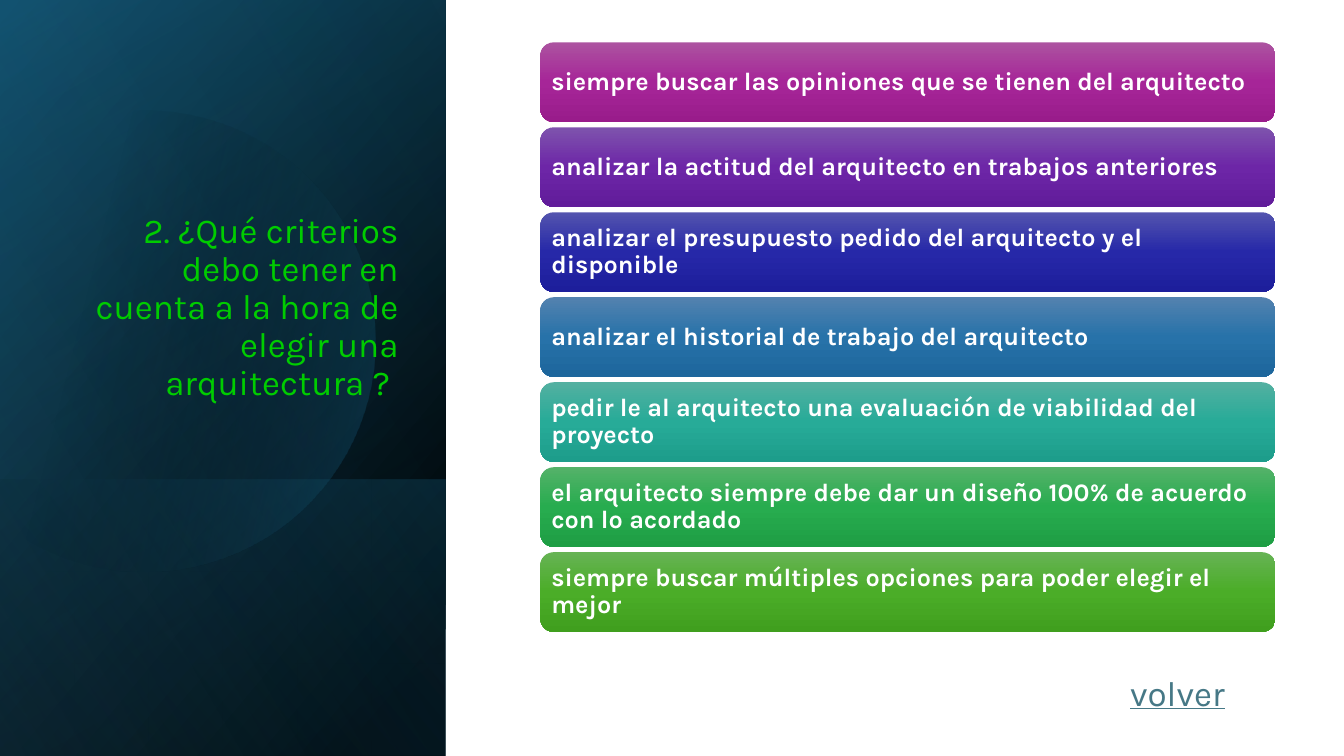
from dataclasses import dataclass
from lxml.etree import SubElement
from pptx import Presentation
from pptx.dml.color import RGBColor
from pptx.enum.shapes import MSO_SHAPE
from pptx.enum.text import MSO_ANCHOR, MSO_AUTO_SIZE, PP_ALIGN
from pptx.oxml.ns import qn
from pptx.util import Inches, Pt

COLORS = {
    "black": "000000", "navy": "104862", "teal": "156082", "sky": "46B1E1",
    "white": "FFFFFF", "lime": "00CC00", "link": "467886",
    "plum top": "AC53A0", "plum mid": "A62598", "plum low": "991C8B",
    "violet top": "7E53AD", "violet mid": "6D26A7", "violet low": "611C9A",
    "indigo top": "5354AE", "indigo mid": "2628A8", "indigo low": "1D1E9B",
    "blue top": "5382AF", "blue mid": "2772A9", "blue low": "1D669C",
    "mint top": "53B0A1", "mint mid": "27AB98", "mint low": "1D9D8B",
    "green top": "54B269", "green mid": "27AC4F", "green low": "1E9E44",
    "grass top": "66B354", "grass mid": "4BAD28", "grass low": "409F1E",
}
BODY = {"name": "Karla", "size": Pt(18), "bold": True}
LARGE = {"name": "Karla", "size": Pt(25)}


@dataclass
class Stop:
    pos: int
    color: str
    alpha: int = 100


@dataclass
class Layer:
    box: tuple[float, float, float, float]
    angle: int
    stops: list[Stop]


@dataclass
class Card:
    hue: str
    text: str


FULL = (-1.54, 1.54, 7.5, 4.42)
BACK = [
    Layer(FULL, 50, [Stop(8, "black"), Stop(100, "navy")]),
    Layer(FULL, 30, [Stop(0, "black", 0), Stop(99, "teal", 46)]),
    Layer((0.84, 3.92, 2.74, 4.42), 130, [Stop(2, "teal", 29), Stop(100, "black", 30)]),
]
GLOW = Layer(FULL, 120, [Stop(0, "black", 0), Stop(99, "sky", 11)])

# Disc outline: cubic curves and straight edges, in inches
START = (1.49, 1.1)
DISC = [
    [(2.46, 1.12), (3.35, 1.77), (3.63, 2.75)],
    [(3.98, 3.97), (3.28, 5.23), (2.07, 5.58)],
    [(1.31, 5.8), (0.53, 5.61), (-0.03, 5.14)],
    [(-0.15, 5.03)],
    [(-0.15, 1.75)],
    [(0, 1.61)],
    [(0.23, 1.42), (0.5, 1.28), (0.8, 1.19)],
    [(1.03, 1.13), (1.26, 1.1), (1.49, 1.1)],
]

CARDS = [
    Card("plum", "siempre buscar las opiniones que se tienen del arquitecto"),
    Card("violet", "analizar la actitud del arquitecto en trabajos anteriores"),
    Card("indigo", "analizar el presupuesto pedido del arquitecto y el disponible"),
    Card("blue", "analizar el historial de trabajo del arquitecto"),
    Card("mint", "pedir le al arquitecto una evaluación de viabilidad del proyecto"),
    Card("green", "el arquitecto siempre debe dar un diseño 100% de acuerdo con lo acordado"),
    Card("grass", "siempre buscar múltiples opciones para poder elegir el mejor"),
]
CARD_TOP, CARD_STEP = 0.42, 0.843


def paint(shape, angle: int, stops: list[Stop]) -> None:
    """Fill with a clockwise linear gradient, with no line or shadow."""
    shape.shadow.inherit = False
    shape.line.fill.background()
    shape.fill.gradient()
    shape.fill.gradient_angle = (360 - angle) % 360
    group = shape._element.spPr.find(".//" + qn("a:gsLst"))
    for old in list(group):
        group.remove(old)
    for stop in stops:
        mark = SubElement(group, qn("a:gs"), pos=str(stop.pos * 1000))
        color = SubElement(mark, qn("a:srgbClr"), val=COLORS[stop.color])
        if stop.alpha < 100:
            SubElement(color, qn("a:alpha"), val=str(stop.alpha * 1000))


def add_layer(slide, layer: Layer) -> None:
    shape = slide.shapes.add_shape(MSO_SHAPE.RECTANGLE, *map(Inches, layer.box))
    shape.rotation = 90
    shape._element.spPr.find(qn("a:xfrm")).set("flipH", "1")
    paint(shape, layer.angle, layer.stops)


def trace(steps: int = 24) -> list[tuple[float, float]]:
    """Turn the disc outline into short straight edges."""
    points = [START]
    for part in DISC:
        if len(part) == 1:
            points += part
            continue
        knots = [points[-1], *part]
        for i in range(1, steps + 1):
            t = i / steps
            parts = ((1 - t) ** 3, 3 * t * (1 - t) ** 2, 3 * t * t * (1 - t), t ** 3)
            points.append(tuple(sum(w * k[axis] for w, k in zip(parts, knots))
                                for axis in (0, 1)))
    return points


def add_disc(slide) -> None:
    first, *rest = trace()
    pen = slide.shapes.build_freeform(*map(Inches, first))
    pen.add_line_segments([(Inches(x), Inches(y)) for x, y in rest], close=True)
    paint(pen.convert_to_shape(), 14, [Stop(29, "black", 0), Stop(100, "teal", 43)])


def write(shape, text: str, color: str, font: dict, frame: dict, para: dict) -> None:
    block = shape.text_frame
    line = block.paragraphs[0]
    run = line.add_run()
    run.text = text
    run.font.color.rgb = RGBColor.from_string(COLORS[color])
    for target, values in ((block, frame), (line, para), (run.font, font)):
        for key, value in values.items():
            setattr(target, key, value)


def add_card(slide, card: Card, top: float) -> None:
    shape = slide.shapes.add_shape(
        MSO_SHAPE.ROUNDED_RECTANGLE, *map(Inches, (5.36, top, 7.29, 0.79)))
    paint(shape, 90, [Stop(pos, f"{card.hue} {tone}")
                      for pos, tone in ((0, "top"), (50, "mid"), (100, "low"))])
    sides = {f"margin_{side}": Inches(0.07) for side in ("left", "right", "top", "bottom")}
    write(shape, card.text, "white", BODY,
          {"word_wrap": True, "vertical_anchor": MSO_ANCHOR.MIDDLE, **sides},
          {"alignment": PP_ALIGN.LEFT, "line_spacing": 0.9})


def add_title(slide) -> None:
    box = slide.shapes.add_textbox(*map(Inches, (0.64, 1.84, 3.41, 2.62)))
    write(box, "2. ¿Qué criterios debo tener en cuenta a la hora de elegir una arquitectura ? ",
          "lime", LARGE, {"word_wrap": True, "vertical_anchor": MSO_ANCHOR.BOTTOM},
          {"alignment": PP_ALIGN.RIGHT, "line_spacing": 0.9})
    # The closing line break has the height of a title line
    line = box.text_frame.paragraphs[0]
    line.add_line_break()
    SubElement(line._p, qn("a:endParaRPr"), sz="2500")


def add_link(slide) -> None:
    box = slide.shapes.add_textbox(*map(Inches, (11.11, 6.61, 1.35, 0.52)))
    write(box, "volver", "link", {**LARGE, "underline": True},
          {"word_wrap": True, "auto_size": MSO_AUTO_SIZE.SHAPE_TO_FIT_TEXT}, {})


def main() -> None:
    deck = Presentation()
    deck.slide_width, deck.slide_height = Inches(13.33), Inches(7.5)
    slide = deck.slides.add_slide(deck.slide_layouts[6])

    # Dark side panel
    for layer in BACK:
        add_layer(slide, layer)
    add_disc(slide)
    add_layer(slide, GLOW)
    add_title(slide)

    # Stack of answers
    for i, card in enumerate(CARDS):
        add_card(slide, card, CARD_TOP + i * CARD_STEP)
    add_link(slide)
    deck.save("out.pptx")


if __name__ == "__main__":
    main()
